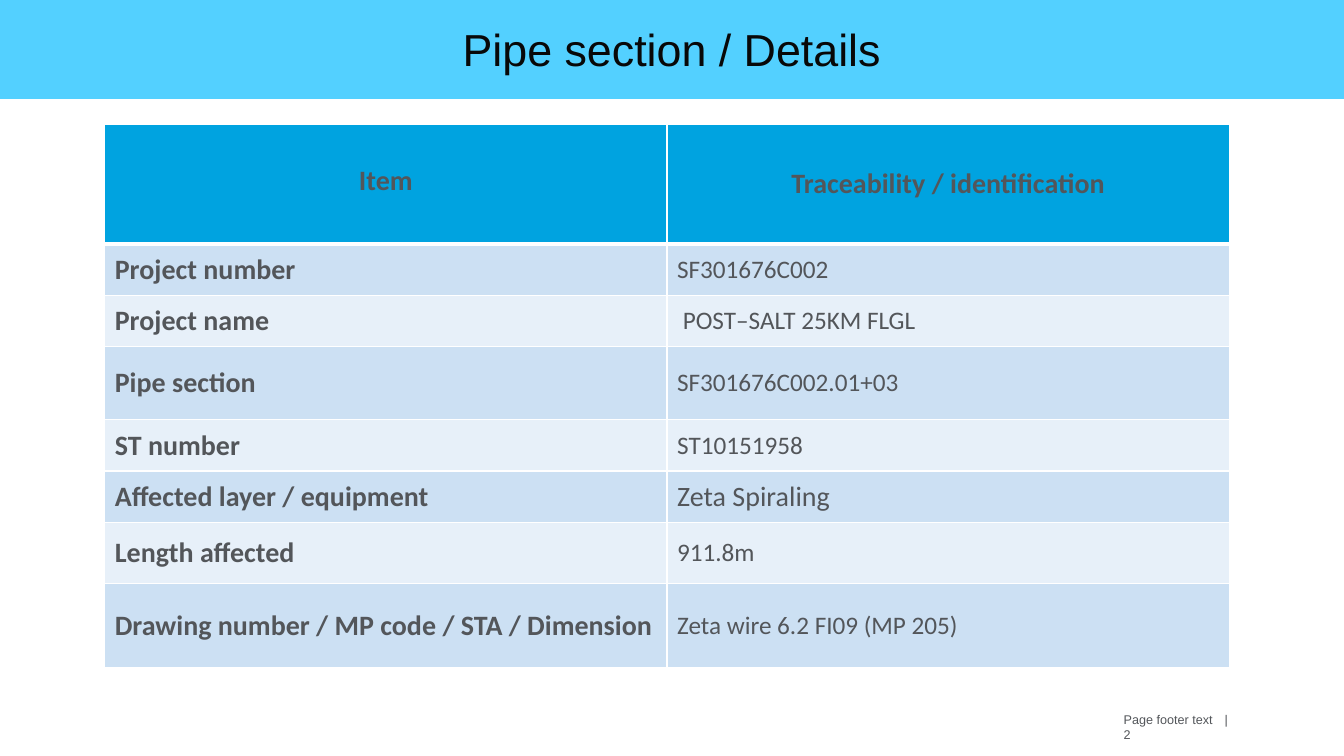
"""Build the pipe section details slide."""
from dataclasses import dataclass

import lxml.etree
import pptx
import pptx.dml.color
import pptx.enum.text
import pptx.oxml.ns
import pptx.util

Cm = pptx.util.Cm
Pt = pptx.util.Pt
Align = pptx.enum.text.PP_ALIGN
Anchor = pptx.enum.text.MSO_ANCHOR
qn = pptx.oxml.ns.qn

GREY = "53565A"
WHITE = "FFFFFF"
HEADER_FILL = "00A3E0"
BAND_FILLS = ("CCE0F3", "E7F0F9")


@dataclass
class DetailRow:
    item: str
    value: str
    height: float = 1.29
    value_size: int = 18


DETAILS = [
    DetailRow("Project number", "SF301676C002"),
    DetailRow("Project name", " POST–SALT 25KM FLGL"),
    DetailRow("Pipe section", "SF301676C002.01+03", height=1.85),
    DetailRow("ST number", "ST10151958"),
    DetailRow("Affected layer / equipment", "Zeta Spiraling", value_size=20),
    DetailRow("Length affected", "911.8m", height=1.55),
    DetailRow("Drawing number / MP code / STA / Dimension",
              "Zeta wire 6.2 FI09 (MP 205)", height=2.11),
]


def color(value: str) -> pptx.dml.color.RGBColor:
    return pptx.dml.color.RGBColor.from_string(value)


def write(text_frame, text: str, size: int, font_name: str, font_color: str,
          align=Align.LEFT, bold: bool = False) -> None:
    text_frame.text = text
    paragraph = text_frame.paragraphs[0]
    paragraph.alignment = align
    for run in paragraph.runs:
        run.font.size = Pt(size)
        run.font.name = font_name
        run.font.bold = bold
        run.font.color.rgb = color(font_color)


def add_borders(cell, bottom_width: float) -> None:
    properties = cell._tc.get_or_add_tcPr()
    widths = {"a:lnL": 1, "a:lnR": 1, "a:lnT": 1, "a:lnB": bottom_width}
    for position, (tag, width) in enumerate(widths.items()):
        line = lxml.etree.Element(qn(tag), w=str(Pt(width)))
        fill = lxml.etree.SubElement(line, qn("a:solidFill"))
        lxml.etree.SubElement(fill, qn("a:srgbClr"), val=WHITE)
        properties.insert(position, line)


def fill_cell(cell, text: str, fill: str, size: int = 20, bold: bool = False,
              align=Align.LEFT, bottom_width: float = 1) -> None:
    write(cell.text_frame, text, size, "Calibri", GREY, align, bold)
    cell.vertical_anchor = Anchor.MIDDLE
    cell.fill.solid()
    cell.fill.fore_color.rgb = color(fill)
    add_borders(cell, bottom_width)


def add_title(slide) -> None:
    title = slide.shapes.title
    title.left, title.top, title.width, title.height = Cm(0), Cm(-0.02), Cm(33.87), Cm(2.51)
    title.fill.solid()
    title.fill.fore_color.rgb = color("53D0FF")
    title.text_frame.vertical_anchor = Anchor.MIDDLE
    write(title.text_frame, "Pipe section / Details", 32, "Arial", "080808", Align.CENTER)


def add_details_table(slide) -> None:
    heights = [3.02] + [detail.height for detail in DETAILS]
    table = slide.shapes.add_table(len(heights), 2, Cm(2.64), Cm(3.13),
                                   Cm(28.34), Cm(sum(heights))).table
    table.horz_banding = False
    for column in table.columns:
        column.width = Cm(14.17)
    for row, height in zip(table.rows, heights):
        row.height = Cm(height)
    for column, heading in enumerate(("Item", "Traceability / identification")):
        fill_cell(table.cell(0, column), heading, HEADER_FILL, bold=True,
                  align=Align.CENTER, bottom_width=3)
    item_heading = table.cell(0, 0)
    item_heading.vertical_anchor = Anchor.TOP
    item_heading.margin_top = Cm(0.99)
    for index, detail in enumerate(DETAILS):
        fill = BAND_FILLS[index % 2]
        fill_cell(table.cell(index + 1, 0), detail.item, fill, bold=True)
        fill_cell(table.cell(index + 1, 1), detail.value, fill, detail.value_size)


def add_footer(slide) -> None:
    text_frame = slide.shapes.add_textbox(Cm(23.16), Cm(17.81), Cm(8.38), Cm(1.02)).text_frame
    text_frame.word_wrap = True
    text_frame.margin_left = Cm(5.16)
    text_frame.margin_right = Cm(0)
    properties = text_frame.paragraphs[0]._p.get_or_add_pPr()
    tabs = lxml.etree.SubElement(properties, qn("a:tabLst"))
    for position in (2.54, 2.78):
        lxml.etree.SubElement(tabs, qn("a:tab"), pos=str(Cm(position)), algn="l")
    write(text_frame, "Page footer text\t|\t2", 9, "Arial", GREY)


def main() -> None:
    presentation = pptx.Presentation()
    presentation.slide_width = Cm(33.87)
    presentation.slide_height = Cm(19.05)
    slide = presentation.slides.add_slide(presentation.slide_layouts[5])
    add_footer(slide)
    add_details_table(slide)
    add_title(slide)
    presentation.save("out.pptx")


if __name__ == "__main__":
    main()
